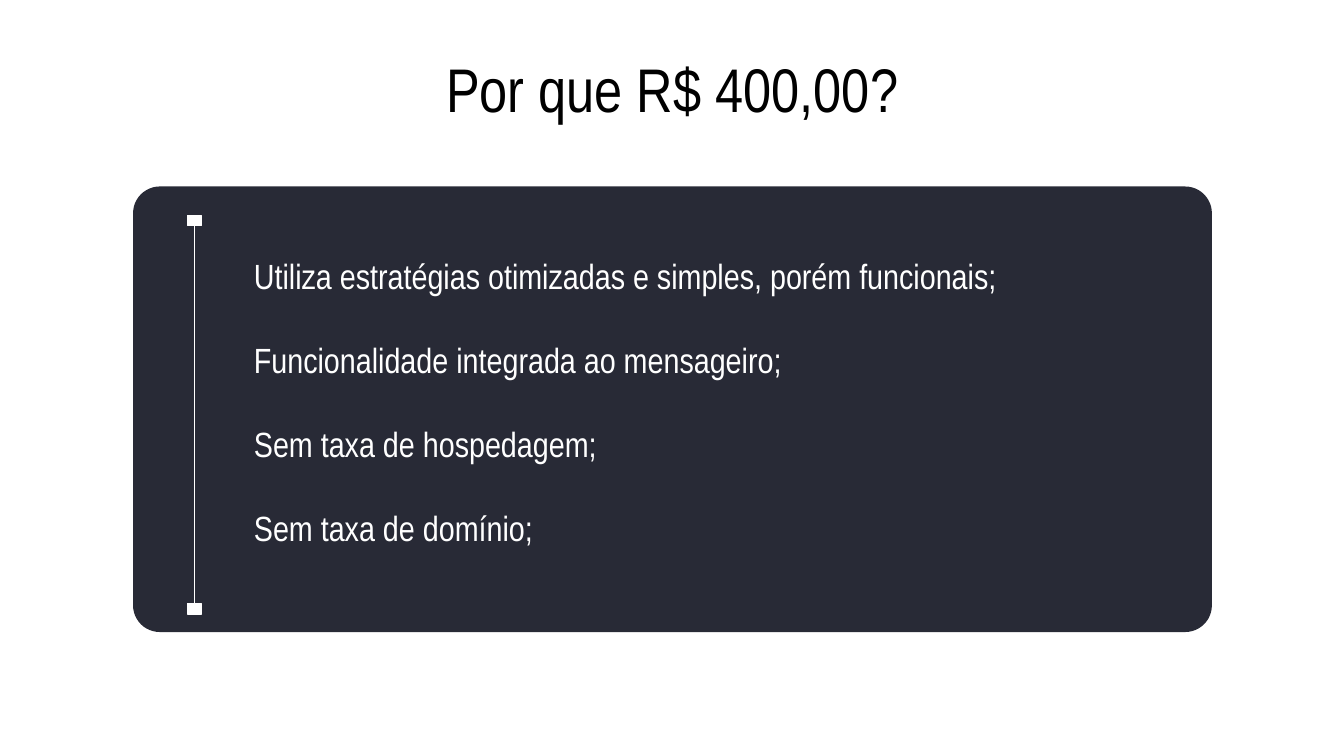
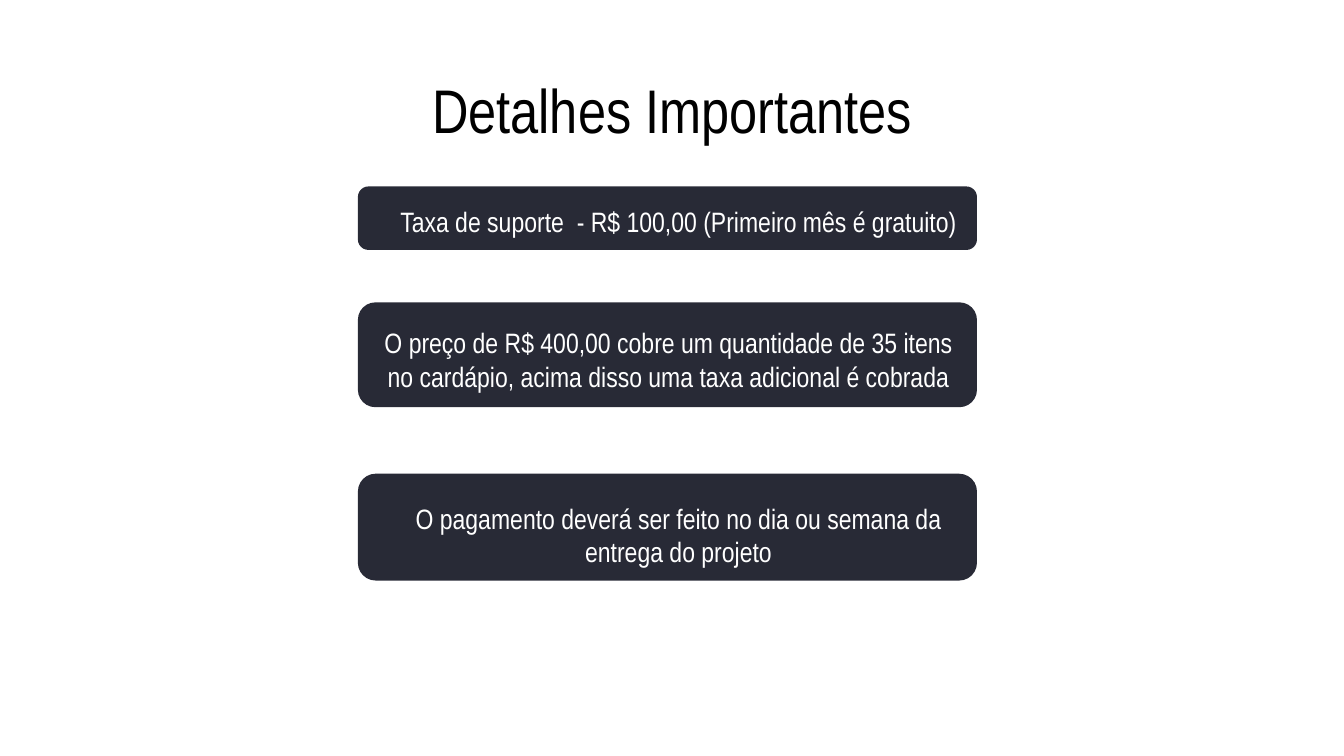
from pptx import Presentation
from pptx.dml.color import RGBColor
from pptx.enum.shapes import MSO_CONNECTOR, MSO_SHAPE
from pptx.enum.text import MSO_ANCHOR, PP_ALIGN
from pptx.oxml.ns import qn
from pptx.util import Inches, Pt
from lxml import etree

RECTANGLE, ROUNDED = MSO_SHAPE.RECTANGLE, MSO_SHAPE.ROUNDED_RECTANGLE
STRAIGHT = MSO_CONNECTOR.STRAIGHT
TOP, MIDDLE = MSO_ANCHOR.TOP, MSO_ANCHOR.MIDDLE
LEFT, CENTER = PP_ALIGN.LEFT, PP_ALIGN.CENTER

# Shared style
COLORS = {"panel": "282A36", "light": "FFFFFF", "title": "000000"}
FONT = "Arial Narrow"
TITLE = {"size": 44, "color": "title", "align": CENTER, "line_spacing": 0.9}
LIST = {"size": 25, "color": "light", "align": LEFT, "gap": 30}
CARD = {"size": 20, "color": "light", "align": CENTER}
DEFAULT_INSETS = (0.1, 0.05, 0.1, 0.05)

# Content
REASONS = [
    "Utiliza estratégias otimizadas e simples, porém funcionais;",
    "Funcionalidade integrada ao mensageiro;",
    "Sem taxa de hospedagem;",
    "Sem taxa de domínio;",
]
# Each card: top, height, insets (left, top, right, bottom), text
DETAILS = [
    (1.85, 0.63, (0.22, 0.15, 0, 0),
     "Taxa de suporte  - R$ 100,00 (Primeiro mês é gratuito)"),
    (3, 1.04, (0.12, 0.18, 0.1, 0),
     "O preço de R$ 400,00 cobre um quantidade de 35 itens no cardápio, "
     "acima disso uma taxa adicional é cobrada"),
    (4.7, 1.06, (0.22, 0.22, 0, 0),
     "O pagamento deverá ser feito no dia ou semana da entrega do projeto"),
]


def color(name):
    return RGBColor.from_string(COLORS[name])


def write_text(shape, lines, style, anchor=TOP, insets=DEFAULT_INSETS):
    frame = shape.text_frame
    frame.word_wrap = True
    frame.vertical_anchor = anchor
    for side, inset in zip(("left", "top", "right", "bottom"), insets):
        setattr(frame, f"margin_{side}", Inches(inset))
    for index, line in enumerate(lines):
        paragraph = frame.add_paragraph() if index else frame.paragraphs[0]
        paragraph.text = line
        paragraph.alignment = style["align"]
        paragraph.line_spacing = style.get("line_spacing", 1.0)
        if index:
            paragraph.space_before = Pt(style["gap"])
        font_format = {"name": FONT, "size": Pt(style["size"])}
        for attribute, value in font_format.items():
            setattr(paragraph.font, attribute, value)
        paragraph.font.color.rgb = color(style["color"])


def add_text(slide, box, lines, style, anchor=TOP):
    shape = slide.shapes.add_textbox(*map(Inches, box))
    write_text(shape, lines, style, anchor)


def add_block(slide, kind, box, fill):
    shape = slide.shapes.add_shape(kind, *map(Inches, box))
    shape.shadow.inherit = False
    shape.fill.solid()
    shape.fill.fore_color.rgb = color(fill)
    shape.line.fill.background()
    return shape


def add_title_slide(presentation, title, top):
    slide = presentation.slides.add_slide(presentation.slide_layouts[6])
    add_text(slide, (0.92, top, 11.5, 1.45), [title], TITLE, MIDDLE)
    return slide


def add_capped_line(slide, left, tops, width, height):
    caps = [add_block(slide, RECTANGLE, (left, top, width, height), "light")
            for top in tops]
    for cap in caps:
        cap.line.color.rgb = color("light")
        cap.line.width = Pt(1)
    connector = slide.shapes.add_connector(STRAIGHT, 0, 0, 0, 0)
    connector.begin_connect(caps[0], 2)
    connector.end_connect(caps[1], 0)
    connector.line.color.rgb = color("light")
    connector.line.width = Pt(0.5)
    etree.SubElement(connector.element.spPr, qn("a:effectLst"))


def build_reasons(presentation):
    slide = add_title_slide(presentation, "Por que R$ 400,00?", 0.19)
    panel = add_block(slide, ROUNDED, (1.32, 1.85, 10.7, 4.42), "panel")
    panel.adjustments[0] = 0.06
    add_capped_line(slide, 1.86, (2.14, 5.99), 0.14, 0.1)
    add_text(slide, (2.42, 2.48, 8.71, 3.6), REASONS, LIST)


def build_details(presentation):
    slide = add_title_slide(presentation, "Detalhes Importantes", 0.4)
    for top, height, insets, text in DETAILS:
        card = add_block(slide, ROUNDED, (3.55, top, 6.14, height), "panel")
        write_text(card, [text], CARD, insets=insets)


def main():
    presentation = Presentation()
    presentation.slide_width = Inches(13.33)
    presentation.slide_height = Inches(7.5)
    build_reasons(presentation)
    build_details(presentation)
    presentation.save("out.pptx")


if __name__ == "__main__":
    main()
